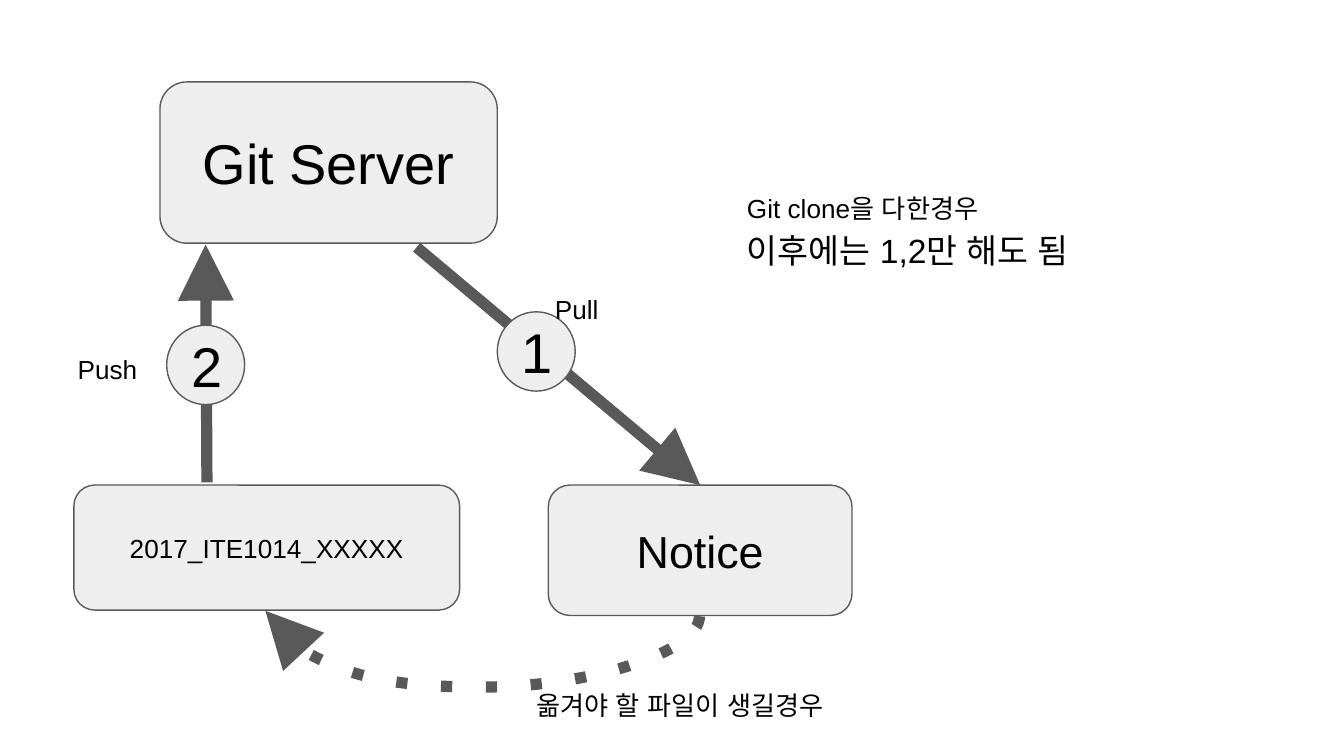
"""Build the Git push and pull workflow slide."""
from pptx import Presentation
from pptx.dml.color import RGBColor
from pptx.enum.lang import MSO_LANGUAGE_ID
from pptx.enum.shapes import MSO_CONNECTOR, MSO_SHAPE
from pptx.enum.text import MSO_ANCHOR, PP_ALIGN
from pptx.oxml.ns import qn
from pptx.util import Inches, Pt
from lxml.etree import SubElement


def rgb(value):
    return RGBColor.from_string(value)


def set_text(sp, text, size, align, anchor):
    tf = sp.text_frame
    tf.word_wrap = True
    tf.vertical_anchor = anchor
    tf.margin_left = tf.margin_right = tf.margin_top = tf.margin_bottom = Inches(0.1)
    tf.text = text
    p = tf.paragraphs[0]
    p.alignment = align
    r = p.runs[0]
    r.font.name, r.font.size, r.font.color.rgb = "Arial", Pt(size), rgb("000000")
    r.font.language_id = MSO_LANGUAGE_ID.KOREAN
    SubElement(r._r.get_or_add_rPr(), qn("a:ea"), typeface="Arial")
    return p


prs = Presentation()
prs.slide_width, prs.slide_height = Inches(10), Inches(10 * 9 / 16)
s = prs.slides.add_slide(prs.slide_layouts[6])

arrows = []
for kind, *ends in [
    (MSO_CONNECTOR.STRAIGHT, 3.1, 1.84, 5.21, 3.61),
    (MSO_CONNECTOR.STRAIGHT, 1.54, 3.59, 1.53, 1.82),
    (MSO_CONNECTOR.CURVE, 3.61, 2.95, 3.57, 6.18),
]:
    c = s.shapes.add_connector(kind, *[Inches(v) for v in ends])
    c.line.color.rgb = rgb("595959")
    c.line.width = Pt(6)
    spPr = c._element.spPr
    ln = spPr.find(qn("a:ln"))
    if kind == MSO_CONNECTOR.CURVE:
        spPr.find(qn("a:xfrm")).set("rot", "5400000")
        guides = spPr.find(qn("a:prstGeom")).get_or_add_avLst()
        SubElement(guides, qn("a:gd"), name="adj1", fmla="val -1313300")
        SubElement(ln, qn("a:prstDash"), val="dot")
    SubElement(ln, qn("a:tailEnd"), type="triangle", w="lg", len="lg")
    SubElement(spPr, qn("a:effectLst"))
    arrows.append(c)

box, circle = MSO_SHAPE.ROUNDED_RECTANGLE, MSO_SHAPE.OVAL
for kind, x, y, w, h, text, size, gap in [
    (box, 1.19, 0.61, 2.51, 1.2, "Git Server", 30, 0),
    (box, 0.55, 3.61, 2.87, 0.93, "2017_ITE1014_XXXXX", 14, 8),
    (box, 4.08, 3.61, 2.26, 0.97, "Notice", 24, 0),
    (circle, 3.7, 2.32, 0.58, 0.59, "1", 30, 0),
    (circle, 1.24, 2.42, 0.58, 0.59, "2", 30, 0),
]:
    sp = s.shapes.add_shape(kind, Inches(x), Inches(y), Inches(w), Inches(h))
    sp.shadow.inherit = False
    sp.fill.solid()
    sp.fill.fore_color.rgb = rgb("EEEEEE")
    sp.line.color.rgb = rgb("595959")
    sp.line.width = Pt(0.75)
    p = set_text(sp, text, size, PP_ALIGN.CENTER, MSO_ANCHOR.MIDDLE)
    p.space_before = p.space_after = Pt(gap)

s.shapes._spTree.append(arrows[-1]._element)

for x, y, w, h, text, size in [
    (5.46, 1.61, 3.96, 0.57, "이후에는 1,2만 해도 됨", 18),
    (4.03, 2.08, 0.58, 0.24, "Pull", 14),
    (3.89, 5.03, 2.83, 0.46, "옮겨야 할 파일이 생길경우", 14),
    (0.48, 2.53, 0.66, 0.24, "Push", 14),
    (5.46, 1.33, 4.2, 0.24, "Git clone을 다한경우", 14),
]:
    sp = s.shapes.add_textbox(Inches(x), Inches(y), Inches(w), Inches(h))
    set_text(sp, text, size, PP_ALIGN.LEFT, MSO_ANCHOR.TOP)

prs.save("out.pptx")
